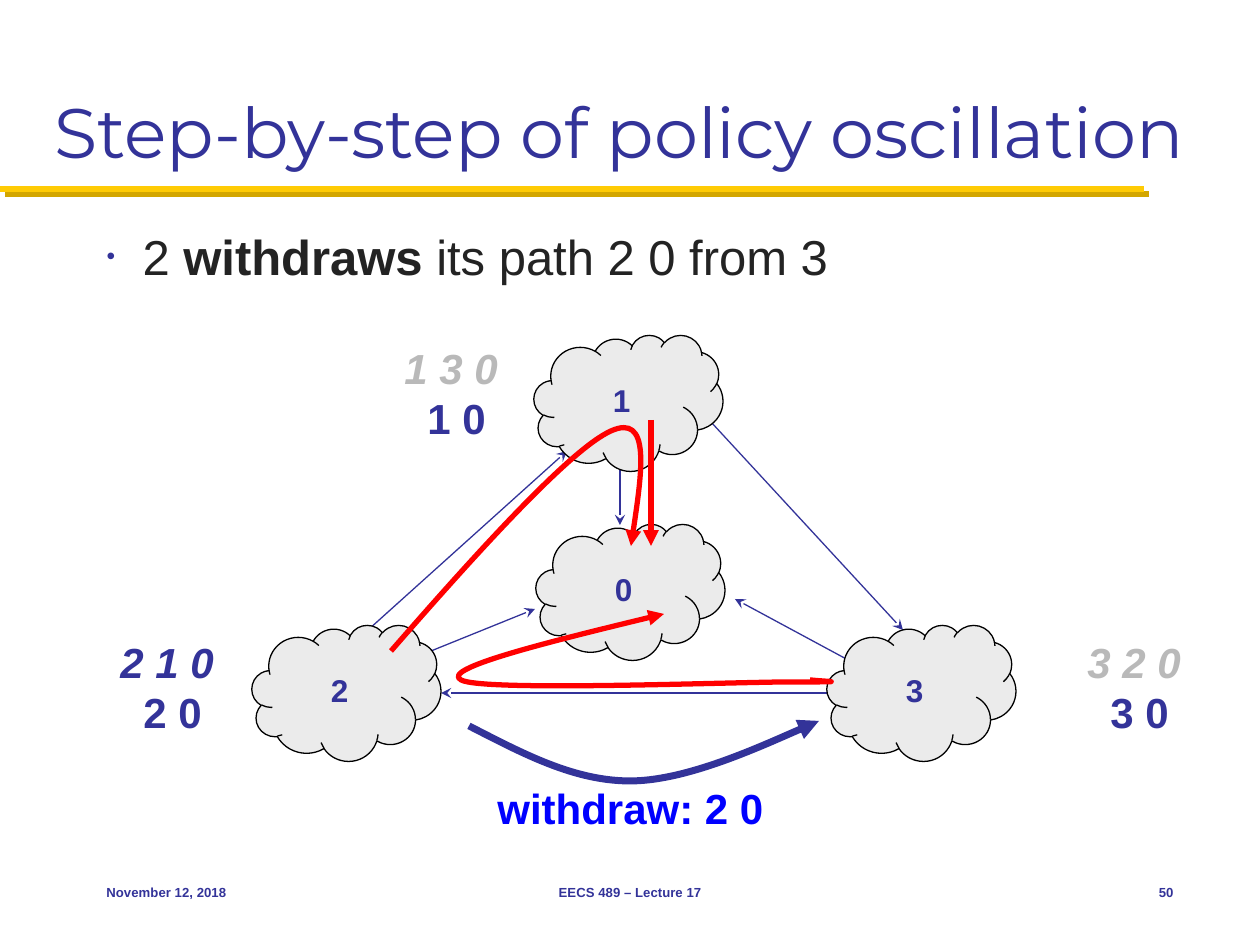
from dataclasses import dataclass
from lxml.etree import SubElement as Sub
from pptx import Presentation
from pptx.dml.color import RGBColor as Rgb
from pptx.enum.shapes import MSO_CONNECTOR as Conn, MSO_SHAPE as Form
from pptx.enum.text import MSO_ANCHOR as Anchor, PP_ALIGN as Align
from pptx.oxml.ns import qn
from pptx.util import Inches, Pt


@dataclass
class Theme:
    face: str = "Arial"
    head: str = "Montserrat"
    navy: str = "333399"
    text: str = "232323"
    pale: str = "B9B9B9"
    cloud: str = "EBEBEB"
    black: str = "000000"
    red: str = "FF0000"
    blue: str = "0000FF"
    gold: str = "FFCB05"
    shade: str = "D3A600"
    title: float = 40
    body: float = 28
    route: float = 24
    node: float = 18
    foot: float = 7.5


look = Theme()
px = Inches(1) / 126


def ink(para, text, size, color, **form):
    run = para.add_run()
    run.text = text
    form = {"name": look.face, "size": Pt(size), **form}
    for key, value in form.items():
        setattr(run.font, key, value)
    run.font.color.rgb = Rgb.from_string(color)


def stroke(shape, color, width, tail=None):
    shape.line.color.rgb = Rgb.from_string(color)
    shape.line.width = Pt(width)
    props = shape._element.spPr
    if tail:
        Sub(props.find(qn("a:ln")), qn("a:tailEnd"), type=tail)
    return Sub(props, qn("a:effectLst"))


deck = Presentation()
deck.slide_width, deck.slide_height = Inches(10), Inches(7.5)
slide = deck.slides.add_slide(deck.slide_layouts[1])
shapes = slide.shapes
title, body = slide.placeholders

rule = shapes.add_connector(Conn.STRAIGHT, 0, round(189 * px), round(1144 * px), round(189 * px))
glow = stroke(rule, look.gold, 5 * 0.7)
drop = Sub(glow, qn("a:outerShdw"), blurRad="0", dist=str(Pt(4.2)), dir="2700000", algn="ctr", rotWithShape="0")
Sub(drop, qn("a:srgbClr"), val=look.shade)

for holder, box, anchor in (
    (title, (42, 21, 1176, 158), Anchor.BOTTOM),
    (body, (94, 220, 1092, 609), Anchor.TOP),
):
    for key, value in zip(("left", "top", "width", "height"), box):
        setattr(holder, key, round(value * px))
    holder.text_frame.vertical_anchor = anchor

para = title.text_frame.paragraphs[0]
para.alignment = Align.LEFT
ink(para, "Step-by-step of policy oscillation", look.title, look.navy, name=look.head)

para = body.text_frame.paragraphs[0]
for text, bold in (("2 ", False), ("withdraws", True), (" its path 2 0 from 3", False)):
    ink(para, text, look.body, look.text, bold=bold)
props = para._p.get_or_add_pPr()
props.set("marL", str(round(36 * px)))
props.set("indent", str(round(-36 * px)))
Sub(Sub(props, qn("a:buClr")), qn("a:srgbClr"), val=look.navy)
Sub(props, qn("a:buSzPct"), val="50000")
Sub(props, qn("a:buFont"), typeface=look.face)
Sub(props, qn("a:buChar"), char="•")

for ends in (
    (620, 451, 620, 525),
    (368, 630, 567, 451),
    (829, 693, 441, 693),
    (711, 422, 903, 630),
    (431, 651, 535, 609),
    (850, 661, 735, 599),
):
    link = shapes.add_connector(Conn.STRAIGHT, *(round(n * px) for n in ends))
    stroke(link, look.navy, 0.75, "stealth")

for name, left, top in (("1", 534, 335), ("2", 252, 625), ("3", 827, 625), ("0", 536, 524)):
    box = (left, top, 189, 136)
    cloud = shapes.add_shape(Form.CLOUD, *(round(n * px) for n in box))
    cloud.fill.solid()
    cloud.fill.fore_color.rgb = Rgb.from_string(look.cloud)
    stroke(cloud, look.black, 0.75)
    cloud.text_frame.vertical_anchor = Anchor.MIDDLE
    para = cloud.text_frame.paragraphs[0]
    para.alignment = Align.CENTER
    ink(para, name, look.node, look.navy, bold=True)

for left, top, first, color, last in (
    (392, 336, "1 3 0", look.pale, "1 0"),
    (1075, 630, "3 2 0", look.pale, "3 0"),
    (108, 630, "2 1 0", look.navy, "2 0"),
):
    box = (left, top, 120, 115)
    frame = shapes.add_textbox(*(round(n * px) for n in box)).text_frame
    frame.word_wrap = True
    frame.margin_right = 0
    ink(frame.paragraphs[0], first, look.route, color, bold=True, italic=True)
    para = frame.add_paragraph()
    para._p.get_or_add_pPr().set("marL", str(round(23 * px)))
    ink(para, last, look.route, look.navy, bold=True)

direct = shapes.add_connector(Conn.STRAIGHT, *(round(n * px) for n in (651, 420, 651, 546)))
stroke(direct, look.red, 3, "triangle")

for color, width, start, *knots in (
    (look.red, 3, (810, 680), (830, 682), (852, 682), (794, 682), (733, 682), (482, 692),
     (461, 680), (440, 669), (552, 641), (664, 614)),
    (look.red, 3, (391, 651), (480, 549), (571, 449), (611, 431), (651, 413), (641, 480), (631, 546)),
    (look.navy, 4, (469, 726), (522, 753), (575, 782), (633, 781), (690, 780), (819, 721), (819, 721)),
):
    pen = shapes.build_freeform(*start, scale=px)
    pen.add_line_segments(knots, close=False)
    curve = pen.convert_to_shape()
    curve.fill.background()
    stroke(curve, color, width, "triangle")
    track = curve._element.find(".//" + qn("a:path"))
    steps = track.findall(qn("a:lnTo"))
    for i in range(0, len(steps), 3):
        bend = Sub(track, qn("a:cubicBezTo"))
        for step in steps[i:i + 3]:
            bend.append(step[0])
            track.remove(step)

for text, box, side, size, color in (
    ("withdraw: 2 0", (485, 776, 295, 64), Align.LEFT, look.route, look.blue),
    ("November 12, 2018", (94, 861, 262, 63), Align.LEFT, look.foot, look.navy),
    ("EECS 489 – Lecture 17", (430, 861, 400, 63), Align.CENTER, look.foot, look.navy),
    ("50", (1102, 861, 84, 63), Align.RIGHT, look.foot, look.navy),
):
    frame = shapes.add_textbox(*(round(n * px) for n in box)).text_frame
    frame.word_wrap = True
    frame.vertical_anchor = Anchor.MIDDLE
    para = frame.paragraphs[0]
    para.alignment = side
    ink(para, text, size, color, bold=True)

deck.save("out.pptx")
